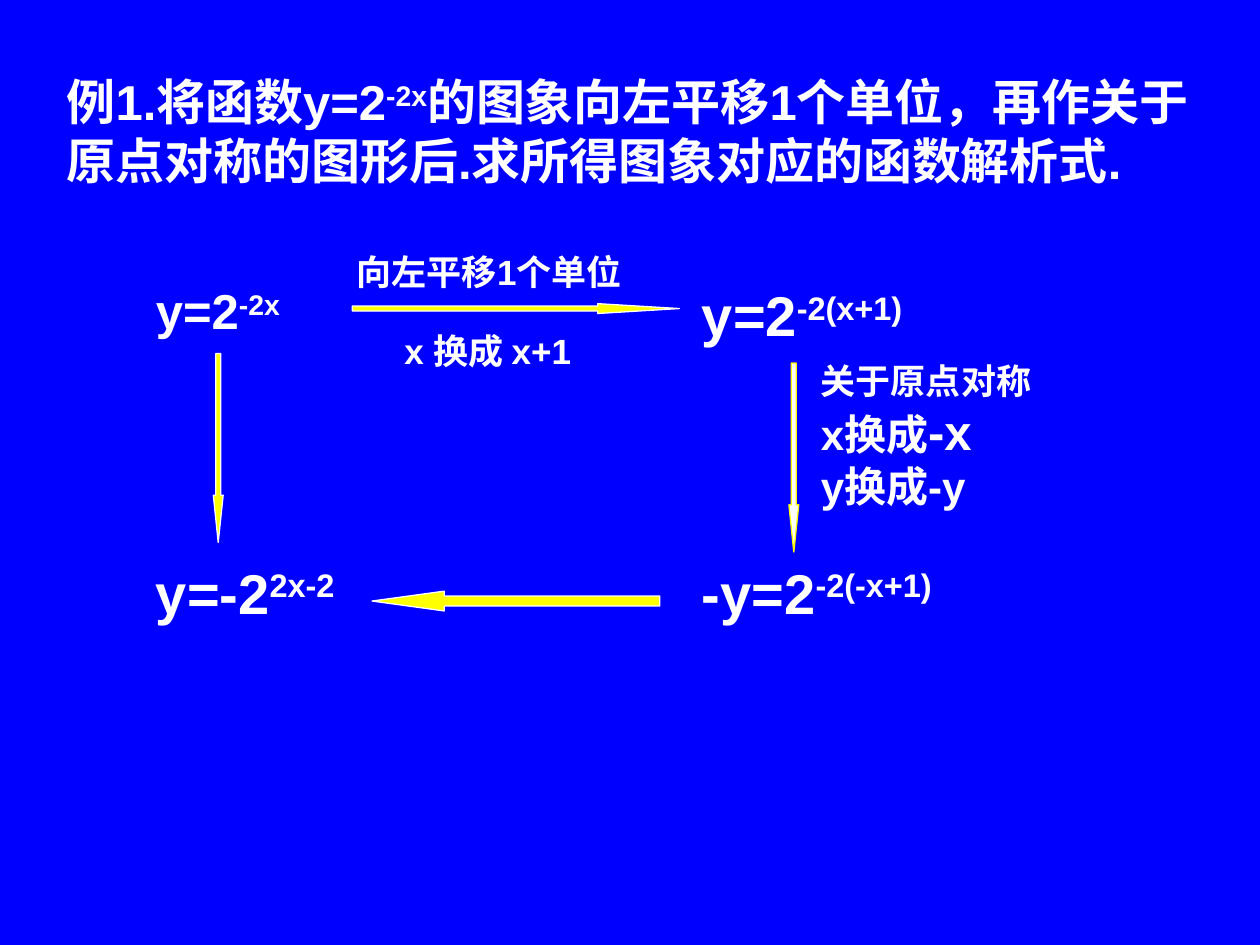
"""Build a slide that shifts and reflects an exponential function."""
from pptx import Presentation
from pptx.dml.color import RGBColor
from pptx.enum.shapes import MSO_SHAPE
from pptx.util import Pt

WHITE, YELLOW, BLUE = "FFFFFF", "FFFF00", "0000FF"


def paint(color, code):
    color.rgb = RGBColor.from_string(code)


def write(left, top, width, height, lines):
    box = slide.shapes.add_textbox(Pt(left), Pt(top), Pt(width), Pt(height))
    frame = box.text_frame
    frame.word_wrap = True
    for i, (size, *parts) in enumerate(lines):
        para = frame.paragraphs[0] if i == 0 else frame.add_paragraph()
        para.font.name = "Arial"
        para.font.size = Pt(size)
        para.font.bold = True
        paint(para.font.color, WHITE)
        for part in parts:
            run = para.add_run()
            run.text = part.lstrip("^")
            if part.startswith("^"):
                run.font._element.set("baseline", "30000")
    return frame


deck = Presentation()
deck.slide_width, deck.slide_height = Pt(720), Pt(540)
slide = deck.slides.add_slide(deck.slide_layouts[6])
slide.background.fill.solid()
paint(slide.background.fill.fore_color, BLUE)

write(31, 37.5, 663, 108, [(
    28, "例1.将函数y=2", "^-2x",
    "的图象向左平移1个单位，再作关于原点对称的图形后.求所得图象对应的函数解析式.")])

formulas = [
    (82, 157, 108, 28, "y=2", "^-2x"),
    (394, 157, 181, 32, "y=2", "^-2(x+1)"),
    (394, 315.5, 187, 32, "-y=2", "^-2(-x+1)"),
    (82, 315.5, 181, 32, "y=-2", "^2x-2"),
]
for left, top, width, size, base, power in formulas:
    write(left, top, width, size + 14, [(size, base, power)])

arrows = [
    (MSO_SHAPE.RIGHT_ARROW, 201.3, 173.5, 187, 5.65, 8.29, YELLOW, WHITE),
    (MSO_SHAPE.DOWN_ARROW, 450.8, 207.5, 5.65, 108, 4.78, WHITE, YELLOW),
    (MSO_SHAPE.LEFT_ARROW, 212.6, 337.8, 164.4, 11.3, 3.65, YELLOW, WHITE),
    (MSO_SHAPE.DOWN_ARROW, 121.9, 202, 5.65, 108, 4.78, YELLOW, WHITE),
]
for kind, left, top, width, height, head, fill, edge in arrows:
    arrow = slide.shapes.add_shape(
        kind, Pt(left), Pt(top), Pt(width), Pt(height))
    arrow.shadow.inherit = False
    arrow.adjustments[0] = 0.5
    arrow.adjustments[1] = head
    arrow.fill.solid()
    paint(arrow.fill.fore_color, fill)
    paint(arrow.line.color, edge)
    arrow.line.width = Pt(0.75)

write(196.8, 139.5, 186, 31.5, [(20, "向左平移1个单位")])
mirror = write(462, 202, 153, 94, [
    (20, "关于原点对称"), (24, "x换成", "-x"), (24, "y换成-y")])
mirror.paragraphs[1].runs[1].font.size = Pt(28)
write(224, 185, 130, 31.5, [(20, "x 换成 x+1")])

deck.save("out.pptx")
